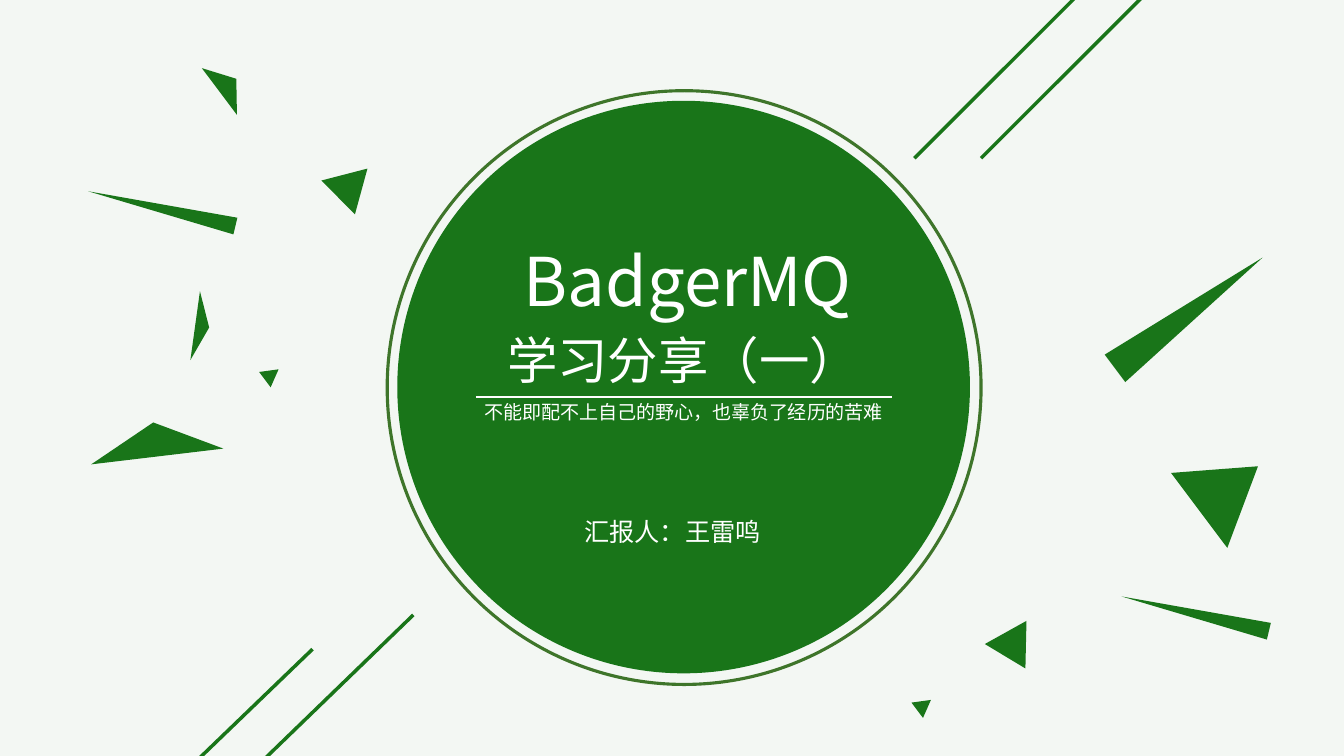
from dataclasses import dataclass

from lxml.etree import SubElement
from pptx import Presentation
from pptx.dml.color import RGBColor
from pptx.enum.shapes import MSO_CONNECTOR as Connector, MSO_SHAPE as Shape
from pptx.enum.text import MSO_ANCHOR as Anchor, PP_ALIGN as Align
from pptx.oxml.ns import qn
from pptx.util import Inches, Pt


@dataclass(frozen=True)
class Theme:
    background: str = "F3F7F3"
    green: str = "197519"
    ring: str = "3E752A"
    white: str = "FFFFFF"
    font: str = "Noto Sans CJK SC"
    title: float = 48
    subtitle: float = 36
    motto: float = 13.6
    speaker: float = 18
    ring_width: float = 2.25
    stripe_width: float = 2.5
    rule_width: float = 1.5


THEME = Theme()

# left, top, width, height, rotation
SHARDS = [
    (0.88, 4.19, 1.32, 0.34, 353.2),
    (11.72, 4.48, 0.93, 0.73, 53.1),
    (2.6, 3.63, 0.19, 0.17, 53.1),
    (1.52, 1.32, 0.17, 1.5, 283.3),
    (3.15, 1.64, 0.47, 0.41, 285.3),
    (1.66, 3.17, 0.69, 0.14, 97.9),
    (9.84, 6.13, 0.47, 0.41, 31.1),
    (1.97, 0.74, 0.58, 0.21, 53.1),
    (11.62, 2.19, 0.34, 1.83, 53.1),
    (9.07, 6.91, 0.19, 0.17, 53.1),
    (11.77, 5.34, 0.17, 1.5, 283.3),
]

# start x, start y, end x, end y
STRIPES = [
    (12.62, -1.32, 9.73, 1.57),
    (11.49, -0.85, 9.07, 1.57),
    (4.1, 6.1, 1.29, 8.82),
    (3.1, 6.44, 0.63, 8.82),
]

# text, type size, left, top, width, height
TEXTS = [
    ("BadgerMQ", THEME.title, 4.76, 2.32, 4.12, 0.91),
    ("学习分享（一）", THEME.subtitle, 4.68, 3.21, 4.2, 0.71),
    ("不能即配不上自己的野心，也辜负了经历的苦难", THEME.motto, 4.53, 3.92, 4.5, 0.34),
    ("汇报人：王雷鸣", THEME.speaker, 5.61, 5.07, 2.12, 0.4),
]


def color(value):
    return RGBColor.from_string(value)


def add_solid(page, kind, bounds, rotation=0):
    """Add a green shape without an outline."""
    solid = page.shapes.add_shape(kind, *map(Inches, bounds))
    solid.shadow.inherit = False
    solid.fill.solid()
    solid.fill.fore_color.rgb = color(THEME.green)
    solid.line.fill.background()
    solid.rotation = rotation
    return solid


def add_ring(page, bounds):
    ring = add_solid(page, Shape.OVAL, bounds)
    ring.fill.background()
    ring.line.color.rgb = color(THEME.ring)
    ring.line.width = Pt(THEME.ring_width)


def add_line(page, ends, line_color, width):
    line = page.shapes.add_connector(Connector.STRAIGHT, *map(Inches, ends))
    line.line.color.rgb = color(line_color)
    line.line.width = Pt(width)
    SubElement(line._element.spPr, qn("a:effectLst"))


def add_text(page, text, size, *bounds):
    frame = page.shapes.add_textbox(*map(Inches, bounds)).text_frame
    frame.word_wrap = True
    frame.vertical_anchor = Anchor.MIDDLE
    frame.margin_top = frame.margin_bottom = 0
    frame.text = text
    para = frame.paragraphs[0]
    para.alignment = Align.CENTER
    span = para.runs[0]
    span.font.size = Pt(size)
    span.font.color.rgb = color(THEME.white)
    span.font.name = THEME.font
    SubElement(span.font._element, qn("a:ea"), typeface=THEME.font)


def main():
    deck = Presentation()
    deck.slide_width, deck.slide_height = Inches(13.33), Inches(7.5)
    page = deck.slides.add_slide(deck.slide_layouts[6])
    page.background.fill.solid()
    page.background.fill.fore_color.rgb = color(THEME.background)

    add_solid(page, Shape.OVAL, (3.94, 1, 5.68, 5.68))
    add_ring(page, (3.84, 0.9, 5.89, 5.89))
    for *bounds, rotation in SHARDS:
        add_solid(page, Shape.ISOSCELES_TRIANGLE, bounds, rotation)
    for ends in STRIPES:
        add_line(page, ends, THEME.green, THEME.stripe_width)
    for entry in TEXTS:
        add_text(page, *entry)
    add_line(page, (4.72, 3.94, 8.85, 3.94), THEME.white, THEME.rule_width)

    deck.save("out.pptx")


if __name__ == "__main__":
    main()
